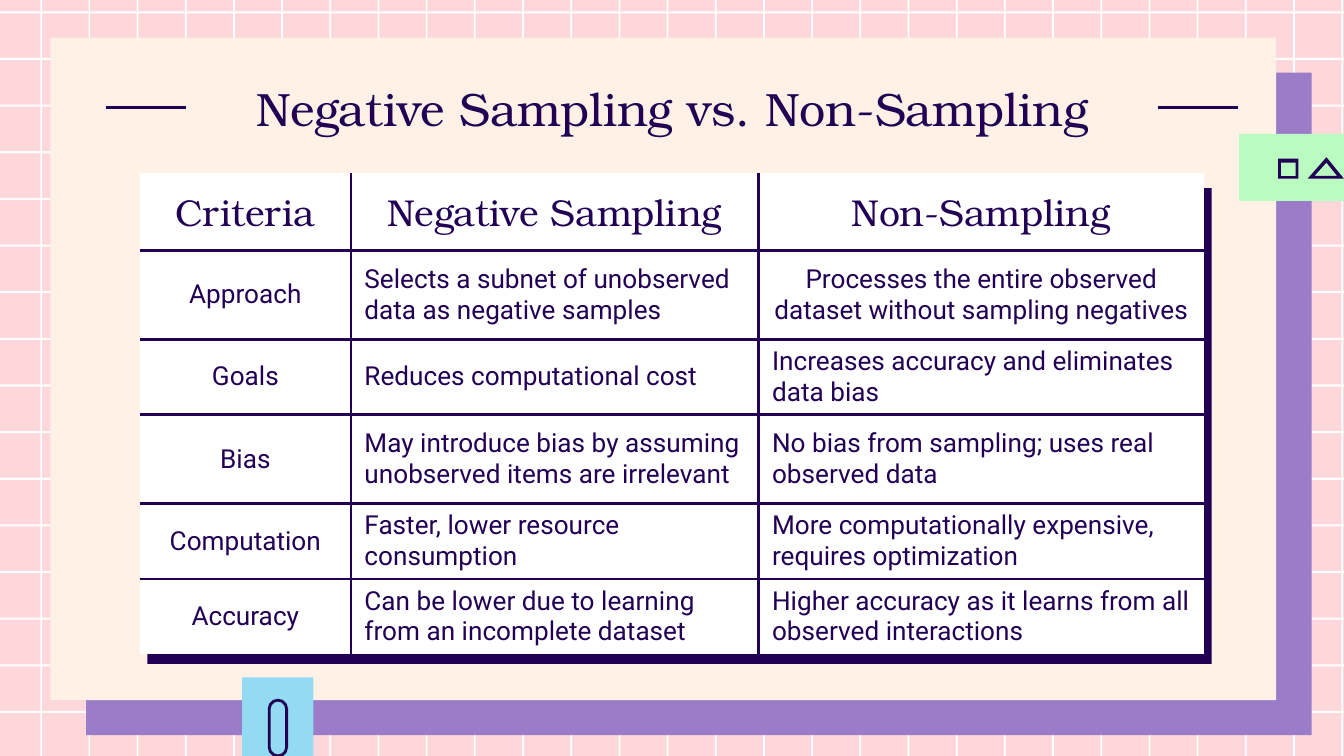
from typing import NamedTuple

from lxml.etree import SubElement
from pptx import Presentation
from pptx.dml.color import RGBColor
from pptx.enum.shapes import MSO_CONNECTOR, MSO_SHAPE
from pptx.enum.text import MSO_ANCHOR, PP_ALIGN
from pptx.oxml.ns import qn
from pptx.util import Inches, Pt

SLIDE_WIDTH, SLIDE_HEIGHT = Inches(10), Inches(5.625)
INK, WHITE, PINK = "220155", "FFFFFF", "FDD7D9"
PURPLE, CREAM, GREEN, BLUE = "9A7CC9", "FFF1E6", "BAFBC2", "92DBF3"
SERIF, SANS = "TeX Gyre Bonum", "Roboto"
STROKE = Pt(1.5)


class Box(NamedTuple):
    left: float
    top: float
    width: float
    height: float


class Criterion(NamedTuple):
    name: str
    negative: str
    without: str
    height: float
    without_align: PP_ALIGN = PP_ALIGN.LEFT


class Icon(NamedTuple):
    outer: list[tuple[float, float]]
    inner: list[tuple[float, float]]


TABLE_ORIGIN = (10.4, 22.88)
COLUMN_WIDTHS = (15.72, 30.33, 33.15)
HEADER = Criterion("Criteria", "Negative Sampling", "Non-Sampling", 10.25, PP_ALIGN.CENTER)
CRITERIA = [
    Criterion("Approach", "Selects a subnet of unobserved data as negative samples",
              "Processes the entire observed dataset without sampling negatives",
              11.77, PP_ALIGN.CENTER),
    Criterion("Goals", "Reduces computational cost",
              "Increases accuracy and eliminates data bias", 9.92),
    Criterion("Bias", "May introduce bias by assuming unobserved items are irrelevant",
              "No bias from sampling; uses real observed data", 11.77),
    Criterion("Computation", "Faster, lower resource consumption",
              "More computationally expensive, requires optimization", 9.92),
    Criterion("Accuracy", "Can be lower due to learning from an incomplete dataset",
              "Higher accuracy as it learns from all observed interactions", 9.95),
]
ICONS = [
    Icon([(95.1, 20.98), (95.1, 23.64), (96.6, 23.64), (96.6, 20.98)],
         [(95.3, 21.51), (96.4, 21.51), (96.4, 23.29), (95.3, 23.29)]),
    Icon([(98.7, 20.8), (97.3, 23.64), (100, 23.64)],
         [(98.7, 21.51), (99.5, 23.29), (97.8, 23.29)]),
]


def across(share: float) -> int:
    return round(SLIDE_WIDTH * share / 100)


def down(share: float) -> int:
    return round(SLIDE_HEIGHT * share / 100)


def place(box: Box) -> tuple[int, int, int, int]:
    return across(box.left), down(box.top), across(box.width), down(box.height)


def paint(target, colour: str) -> None:
    target.solid()
    target.fore_color.rgb = RGBColor.from_string(colour)


def add_block(slide, box: Box, colour: str) -> None:
    block = slide.shapes.add_shape(MSO_SHAPE.RECTANGLE, *place(box))
    block.shadow.inherit = False
    paint(block.fill, colour)
    block.line.fill.background()


def add_rule(slide, start: float, end: float, height: float) -> None:
    rule = slide.shapes.add_connector(MSO_CONNECTOR.STRAIGHT, across(start), down(height),
                                      across(end), down(height))
    paint(rule.line.fill, INK)
    rule.line.width = STROKE
    SubElement(rule.element.spPr, qn("a:effectLst"))


def add_icon(slide, icon: Icon) -> None:
    outer, inner = ([(across(x), down(y)) for x, y in ring] for ring in icon)
    builder = slide.shapes.build_freeform(*outer[0])
    builder.add_line_segments(outer[1:], close=True)
    builder.move_to(*inner[0])
    builder.add_line_segments(inner[1:], close=True)
    outline = builder.convert_to_shape()
    outline.shadow.inherit = False
    paint(outline.fill, INK)
    outline.line.fill.background()


def add_pill(slide, box: Box) -> None:
    pill = slide.shapes.add_shape(MSO_SHAPE.ROUNDED_RECTANGLE, *place(box))
    pill.adjustments[0] = 0.5
    pill.shadow.inherit = False
    pill.fill.background()
    paint(pill.line.fill, INK)
    pill.line.width = STROKE


def write(frame, text: str, align: PP_ALIGN, size: int, face: str) -> None:
    frame.text = text
    paragraph = frame.paragraphs[0]
    paragraph.alignment = align
    paragraph.font.size = Pt(size)
    paragraph.font.name = face
    paragraph.font.bold = False
    paint(paragraph.font.fill, INK)


def add_borders(cell, visible: dict[str, bool]) -> None:
    properties = cell._tc.get_or_add_tcPr()
    for side, shown in visible.items():
        edge = SubElement(properties, qn(f"a:ln{side}"), w=str(STROKE if shown else 0))
        if shown:
            SubElement(SubElement(edge, qn("a:solidFill")), qn("a:srgbClr"), val=INK)
        else:
            SubElement(edge, qn("a:noFill"))


def add_comparison(slide, criteria: list[Criterion]) -> None:
    extent = Box(*TABLE_ORIGIN, sum(COLUMN_WIDTHS), sum(c.height for c in criteria))
    table = slide.shapes.add_table(len(criteria), len(COLUMN_WIDTHS), *place(extent)).table
    table.first_row = table.horz_banding = False
    for column, width in zip(table.columns, COLUMN_WIDTHS):
        column.width = across(width)
    last_row, last_column = len(criteria) - 1, len(COLUMN_WIDTHS) - 1
    for r, criterion in enumerate(criteria):
        table.rows[r].height = down(criterion.height)
        size, face = (20, SERIF) if r == 0 else (14, SANS)
        negative_align = PP_ALIGN.CENTER if r == 0 else PP_ALIGN.LEFT
        aligns = (PP_ALIGN.CENTER, negative_align, criterion.without_align)
        for c, (text, align) in enumerate(zip(criterion[:3], aligns)):
            cell = table.cell(r, c)
            cell.vertical_anchor = MSO_ANCHOR.MIDDLE
            write(cell.text_frame, text, align, size, face)
            add_borders(cell, {"L": c > 0, "R": c < last_column,
                               "T": r > 0, "B": r < last_row})
            paint(cell.fill, WHITE)


def add_title(slide, text: str, box: Box) -> None:
    title = slide.shapes.title
    title.left, title.top, title.width, title.height = place(box)
    title.text_frame.vertical_anchor = MSO_ANCHOR.MIDDLE
    write(title.text_frame, text, PP_ALIGN.CENTER, 25, SERIF)
    slide.shapes.element.append(title.element)


def main() -> None:
    deck = Presentation()
    deck.slide_width, deck.slide_height = SLIDE_WIDTH, SLIDE_HEIGHT
    slide = deck.slides.add_slide(deck.slide_layouts[5])
    paint(slide.background.fill, PINK)

    for row in range(16):
        add_block(slide, Box(0, 1.5 + 6.17 * row, 100, 0.28), WHITE)
    for column in range(28):
        add_block(slide, Box(3 + 96.8 * column / 27, 0, 0.13, 100), WHITE)

    add_block(slide, Box(6.4, 9.6, 91.2, 87.64), PURPLE)
    add_block(slide, Box(3.75, 4.98, 91.2, 87.64), CREAM)
    for start in (7.9, 86.14):
        add_rule(slide, start, start + 5.96, 14.22)

    add_block(slide, Box(92.2, 17.7, 7.8, 8.89), GREEN)
    for icon in ICONS:
        add_icon(slide, icon)
    add_block(slide, Box(18.02, 89.6, 5.3, 10.4), BLUE)
    add_pill(slide, Box(20.03, 92.62, 1.3, 7.38))

    add_title(slide, "Negative Sampling vs. Non-Sampling", Box(7.88, 8.65, 84.3, 11.2))
    add_block(slide, Box(10.96, 24.89, 79.2, 62.93), INK)
    add_comparison(slide, [HEADER, *CRITERIA])
    deck.save("out.pptx")


if __name__ == "__main__":
    main()
